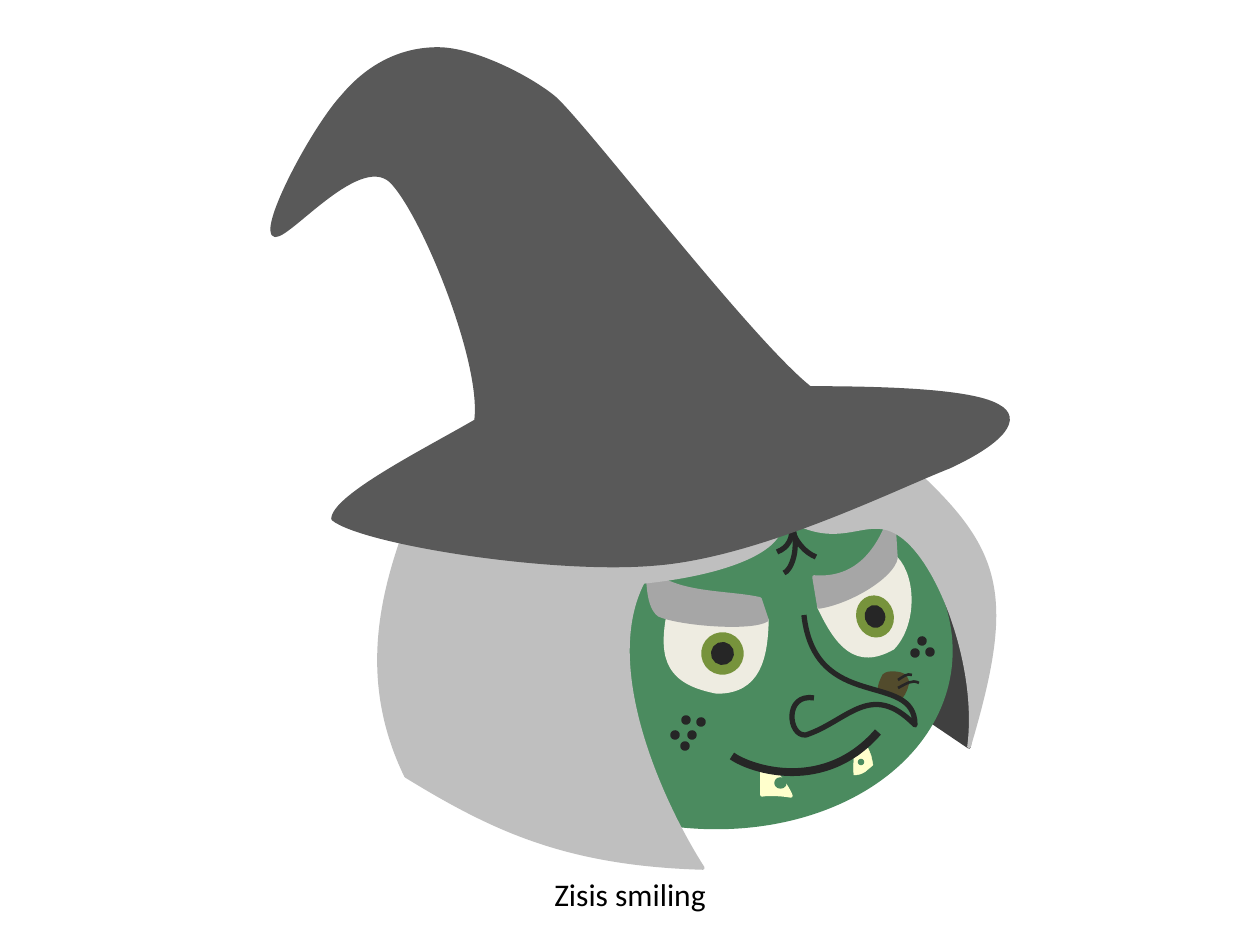
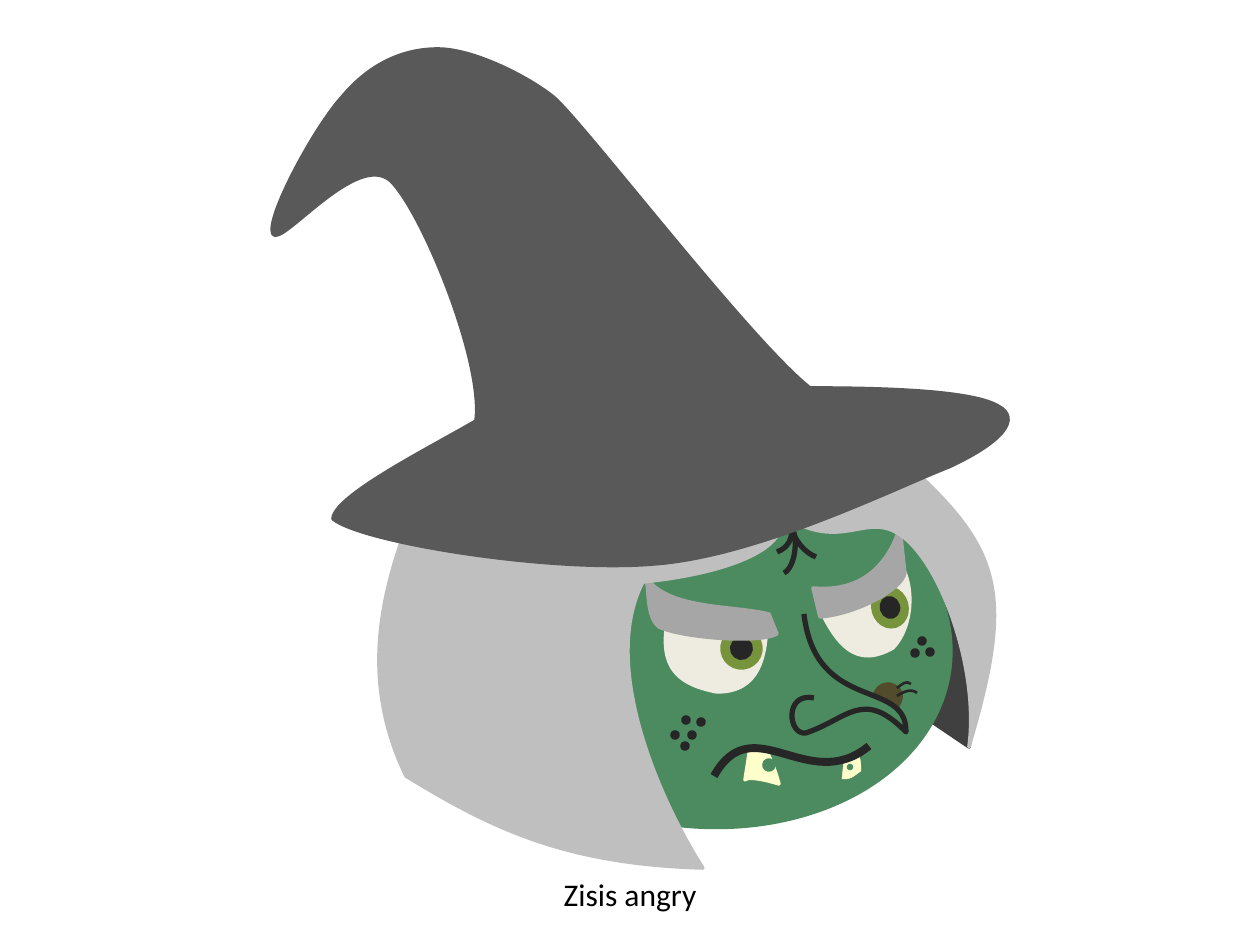
from math import cos, radians, sin

from lxml import etree
from pptx import Presentation
from pptx.dml.color import RGBColor
from pptx.enum.shapes import MSO_SHAPE
from pptx.enum.text import MSO_ANCHOR, MSO_AUTO_SIZE, PP_ALIGN
from pptx.oxml.ns import qn
from pptx.util import Pt

OVAL = MSO_SHAPE.OVAL
CENTER = PP_ALIGN.CENTER
TOP = MSO_ANCHOR.TOP
GROW = MSO_AUTO_SIZE.SHAPE_TO_FIT_TEXT

SCALE = 914400 / 126
WIDE, HIGH = 1260, 945
TILT = 8
STEPS = 24
FONT = "Calibri"

INK, SKIN, SHADE, HAIR = "262626", "4B8B5F", "404040", "BFBFBF"
FELT, BROW, WHITE = "595959", "A6A6A6", "EEECE1"
IRIS, WART, TOOTH, TEXT = "77933C", "524B2C", "FFFFCC", "000000"

# A path is its start, then lines (2 numbers) and curves (6 numbers).
BACK = [(890, 528), (915, 515, 929, 510, 956, 557),
        (963, 605, 979, 689, 969, 747), (932, 722)]
FACE = (438, 444, 514, 382)
CREASE = (791, 524)
CREASES = [(801, 547, 791, 571, 784, 573), (794, 542, 806, 553, 816, 557),
           (794, 538, 788, 548, 777, 552)]
WHITES = [
    [(668, 616), (702, 622, 730, 627, 767, 620),
     (766, 658, 759, 692, 717, 692), (669, 683, 660, 660, 668, 616)],
    [(819, 607), (852, 600, 874, 576, 896, 558),
     (915, 578, 915, 625, 893, 648), (856, 669, 837, 645, 819, 607)],
]
SPOT = 6
SPOTS = [(683, 717), (672, 732), (682, 743), (689, 732), (698, 719),
         (919, 638), (912, 650), (927, 649)]
LOCKS = [
    [(413, 510), (450, 475, 742, 513, 781, 523),
     (782, 549, 730, 573, 643, 582), (599, 667, 662, 804, 703, 868),
     (567, 864, 494, 830, 406, 776), (359, 679, 381, 591, 413, 510)],
    [(799, 466), (917, 473), (1003, 553, 1013, 599, 969, 747),
     (979, 674, 945, 575, 908, 541), (872, 508, 851, 547, 800, 525)],
]
HAT = [(391, 181), (357, 150, 281, 248, 273, 234),
       (265, 219, 315, 126, 343, 96), (370, 64, 403, 49, 438, 49),
       (474, 49, 528, 77, 552, 96), (576, 113, 748, 339, 810, 388),
       (900, 388, 974, 392, 998, 406), (1021, 418, 1005, 441, 949, 467),
       (895, 488, 759, 556, 655, 564), (553, 573, 363, 543, 333, 519),
       (334, 496, 428, 449, 476, 421), (484, 363, 423, 213, 391, 181)]

SMILE = {
    "name": "Zisis smiling",
    "wart": [(879, 690), (877, 687, 881, 679, 883, 675),
             (886, 672, 890, 672, 893, 672), (898, 672, 902, 673, 905, 675),
             (907, 678, 910, 682, 908, 685), (907, 690, 903, 699, 898, 701),
             (893, 702, 882, 696, 879, 690)],
    "hairs": [[(898, 680), (903, 677, 907, 673, 912, 675)],
              [(898, 688), (906, 684, 912, 679, 919, 683)]],
    "wart turn": 0,
    "nose": [(804, 615), (815, 714, 915, 670, 915, 725),
             (871, 680, 848, 721, 806, 735), (788, 737, 784, 693, 814, 698)],
    # Each tooth: path, hole, line width, turn.
    "teeth": [
        ([(854, 756), (858, 756, 857, 759, 867, 746),
          (872, 757, 871, 755, 873, 765), (868, 769, 864, 775, 854, 775),
          (853, 766, 854, 765, 854, 756)], (858, 759, 6, 6), 0.25, -1.1),
        ([(762, 769), (767, 769, 767, 775, 777, 774),
          (782, 780, 789, 790, 791, 796), (780, 794, 765, 794, 762, 795)],
         (776, 779, 9, 8), 2, 0.8),
    ],
    "mouth": [(732, 756), (752, 770, 825, 793, 878, 732)],
    "mouth turn": -1.1,
    "eyes": [(703, 634), (858, 597)],
    "brows": [
        [(645, 563), (665, 596, 725, 591, 760, 599), (767, 620),
         (751, 630, 679, 624, 659, 615), (645, 604, 650, 572, 645, 563)],
        [(814, 577), (864, 581, 883, 539, 893, 509), (896, 558),
         (893, 576, 851, 602, 819, 607)],
    ],
}
ANGRY = {
    "name": "Zisis angry",
    "wart": [(872, 701), (871, 696, 876, 689, 878, 687),
             (882, 683, 886, 683, 890, 683), (893, 684, 897, 685, 900, 689),
             (902, 692, 903, 696, 902, 699), (901, 704, 896, 713, 891, 713),
             (886, 713, 874, 706, 872, 701)],
    "hairs": [[(897, 688), (902, 684, 907, 680, 911, 684)],
              [(897, 696), (903, 692, 911, 688, 917, 693)]],
    "wart turn": TILT,
    "nose": [(804, 614), (816, 714, 907, 678, 906, 732),
             (863, 688, 848, 719, 806, 733), (788, 736, 784, 692, 814, 698)],
    "teeth": [
        ([(750, 748), (755, 748, 755, 752, 766, 750),
          (772, 761, 777, 776, 779, 784), (766, 780, 748, 776, 745, 780)],
         (764, 760, 10, 10), 2, TILT),
        ([(844, 759), (848, 760, 847, 762, 858, 751),
          (861, 764, 861, 761, 861, 771), (856, 774, 852, 780, 842, 779),
          (842, 769, 843, 769, 844, 759)], (847, 764, 6, 6), 0.25, TILT),
    ],
    "mouth": [(714, 776), (753, 706, 808, 796, 869, 746)],
    "mouth turn": TILT,
    "eyes": [(722, 629), (873, 588)],
    "brows": [
        [(645, 576), (667, 610, 731, 605, 769, 614), (777, 634),
         (760, 644, 682, 638, 659, 627), (645, 616, 650, 586, 645, 576)],
        [(813, 588), (869, 593, 891, 556, 900, 527), (905, 573),
         (902, 590, 856, 614, 820, 617)],
    ],
}


def emu(px):
    """Turn pixels into EMU."""
    return round(px * SCALE)


def rgb(code):
    """Turn a hex string into a colour."""
    return RGBColor.from_string(code)


def spin(point, turn):
    """Rotate a point about the slide's corner by some degrees."""
    x, y = point
    a = radians(turn)
    return x * cos(a) - y * sin(a), x * sin(a) + y * cos(a)


def paint(shape, fill, line, width, turn):
    """Set fill, line and rotation, with no shadow."""
    shape.shadow.inherit = False
    if fill:
        shape.fill.solid()
        shape.fill.fore_color.rgb = rgb(fill)
    else:
        shape.fill.background()
    shape.line.color.rgb = rgb(line)
    shape.line.width = Pt(width)
    shape.rotation = turn


def sample(start, knots):
    """List the points along one line or cubic curve."""
    if len(knots) == 1:
        return knots
    ends = [start] + knots
    points = []
    for step in range(1, STEPS + 1):
        t = step / STEPS
        mix = ((1 - t) ** 3, 3 * t * (1 - t) ** 2, 3 * t * t * (1 - t), t ** 3)
        points.append(tuple(sum(m * p[i] for m, p in zip(mix, ends))
                            for i in (0, 1)))
    return points


def draw(slide, path, fill, line=None, width=2, turn=TILT, shut=True):
    """Draw a curved outline in a tight box that is turned as a whole."""
    parts = [[spin((emu(p[i]), emu(p[i + 1])), -turn)
              for i in range(0, len(p), 2)] for p in path]
    start = last = parts[0][0]
    trace = []
    for knots in parts[1:]:
        trace += sample(last, knots)
        last = knots[-1]
    pen = slide.shapes.build_freeform(round(start[0]), round(start[1]))
    pen.add_line_segments([(round(x), round(y)) for x, y in trace], close=shut)
    shape = pen.convert_to_shape()
    left, top = shape.left, shape.top
    bend(shape, parts, left, top, shut)
    half = shape.width / 2, shape.height / 2
    x, y = spin((left + half[0], top + half[1]), turn)
    shape.left, shape.top = round(x - half[0]), round(y - half[1])
    paint(shape, fill, line or fill, width, turn)


def bend(shape, parts, left, top, shut):
    """Give a freeform true curves in place of its short lines."""
    node = shape._element.find(".//" + qn("a:path"))
    for child in list(node):
        node.remove(child)
    for i, knots in enumerate(parts):
        tag = "moveTo" if i == 0 else "lnTo" if len(knots) == 1 else "cubicBezTo"
        piece = etree.SubElement(node, qn("a:" + tag))
        for x, y in knots:
            etree.SubElement(piece, qn("a:pt"),
                             x=str(round(x - left)), y=str(round(y - top)))
    if shut:
        etree.SubElement(node, qn("a:close"))


def stroke(slide, path, width, turn=TILT):
    """Draw an open ink line."""
    draw(slide, path, None, INK, width, turn, shut=False)


def oval(slide, box, color, width=2, turn=TILT):
    """Draw an ellipse in one colour."""
    shape = slide.shapes.add_shape(OVAL, *map(emu, box))
    paint(shape, color, color, width, turn)


def eye(slide, spot, size, turn):
    """Draw an iris with a pupil of half its size in the middle."""
    (x, y), (w, h) = spot, size
    oval(slide, (x, y, w, h), IRIS, turn=turn)
    oval(slide, (x + w / 4, y + h / 4, w / 2, h / 2), INK, turn=turn)


def label(slide, words):
    """Write the caption in the title placeholder."""
    title = slide.shapes.title
    title.left, title.top, title.width, title.height = map(
        emu, (0, 869, WIDE, 50))
    frame = title.text_frame
    frame.word_wrap = True
    frame.auto_size = GROW
    frame.vertical_anchor = TOP
    para = frame.paragraphs[0]
    para.alignment = CENTER
    run = para.add_run()
    run.text = words
    run.font.name = FONT
    run.font.size = Pt(18)
    run.font.color.rgb = rgb(TEXT)


def head(slide):
    """Draw the parts that lie behind the features."""
    draw(slide, BACK, SHADE)
    oval(slide, FACE, SKIN)
    for curve in CREASES:
        stroke(slide, [CREASE, curve], 3)
    for path in WHITES:
        draw(slide, path, WHITE)
    for x, y in SPOTS:
        oval(slide, (x, y, SPOT, SPOT), INK)


def mood(slide, look):
    """Draw the features that change with the mood."""
    draw(slide, look["wart"], WART, width=0.75, turn=look["wart turn"])
    for path in look["hairs"]:
        stroke(slide, path, 1.5, look["wart turn"])
    draw(slide, look["nose"], SKIN, INK, 3, 0, shut=False)
    for path, hole, width, turn in look["teeth"]:
        draw(slide, path, TOOTH, width=width, turn=turn)
        oval(slide, hole, SKIN, width, turn)
    stroke(slide, look["mouth"], 4.5, look["mouth turn"])
    left, right = look["eyes"]
    eye(slide, left, (39, 39), TILT)
    eye(slide, right, (34, 39), -16)
    for path in look["brows"]:
        draw(slide, path, BROW)


def main():
    """Build one slide for each mood."""
    deck = Presentation()
    deck.slide_width, deck.slide_height = emu(WIDE), emu(HIGH)
    for look in (SMILE, ANGRY):
        slide = deck.slides.add_slide(deck.slide_layouts[5])
        head(slide)
        mood(slide, look)
        for path in LOCKS:
            draw(slide, path, HAIR)
        draw(slide, HAT, FELT)
        label(slide, look["name"])
    deck.save("out.pptx")


main()
